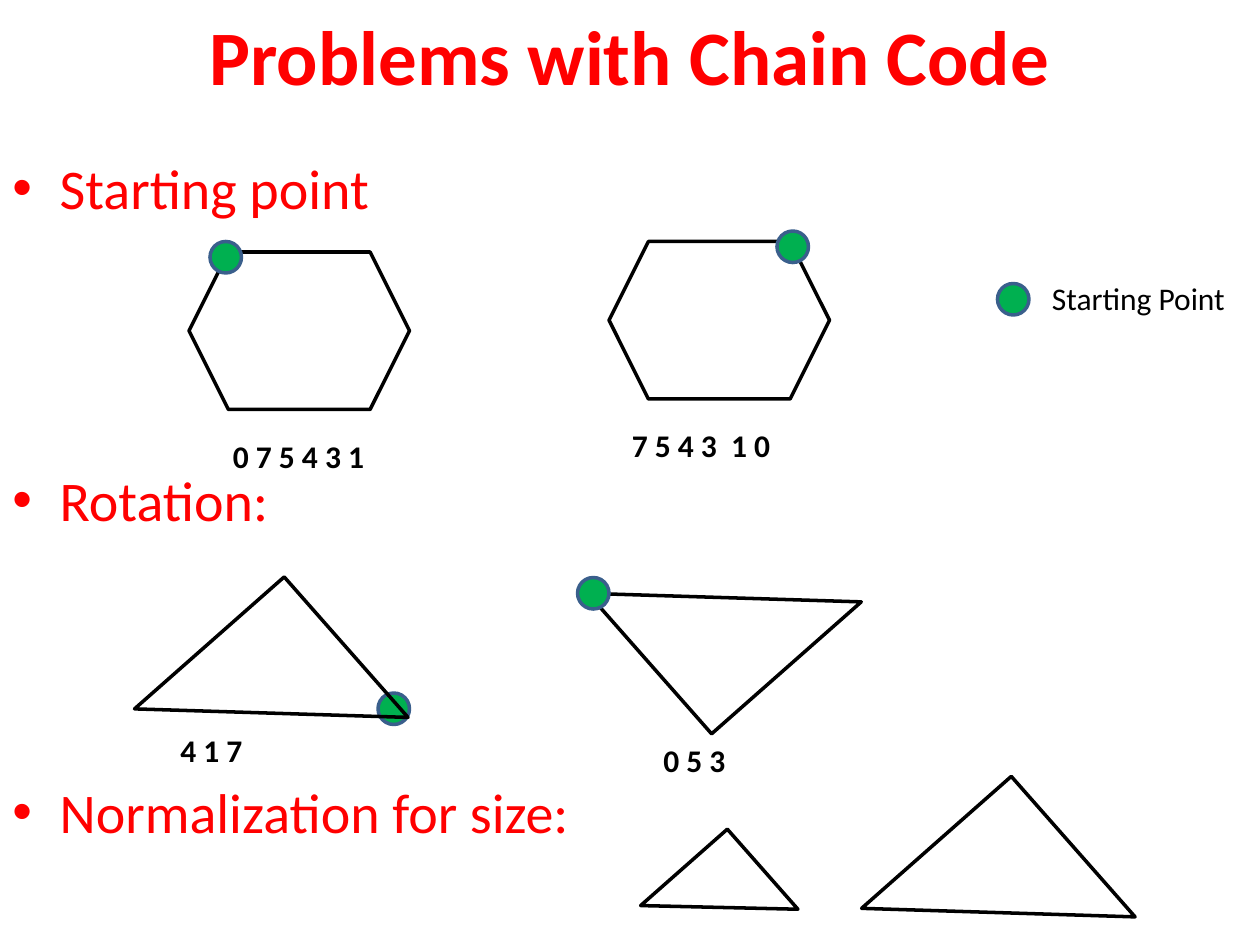
from lxml import etree
from pptx import Presentation
from pptx.dml.color import RGBColor
from pptx.enum.shapes import MSO_SHAPE
from pptx.enum.text import MSO_ANCHOR, PP_ALIGN
from pptx.oxml.ns import qn
from pptx.util import Pt

HEXAGON = MSO_SHAPE.HEXAGON
OVAL = MSO_SHAPE.OVAL
WEDGE = MSO_SHAPE.RIGHT_TRIANGLE
MIDDLE = MSO_ANCHOR.MIDDLE
CENTER = PP_ALIGN.CENTER

COLORS = {"head": "FF0000", "ink": "000000", "dot": "00B050", "rim": "3A5F8C"}
FONT = "Calibri"
HEAD = {"size": Pt(44), "bold": True}
ITEM = {"size": Pt(32), "bold": False}
CODE = {"size": Pt(18), "bold": True}
NOTE = {"size": Pt(18), "bold": False}

LINE = 2
DOT = 18
INDENT = 27
GAP = 140
TILT = 138.6


def color(name):
    return RGBColor.from_string(COLORS[name])


class Board:
    """Holds the current slide and draws each kind of element on it."""

    def __init__(self, slide):
        self.slide = slide

    def words(self, para, text, style, ink):
        run = para.add_run()
        run.text = text
        for name, value in {"name": FONT, **style}.items():
            setattr(run.font, name, value)
        run.font.color.rgb = color(ink)

    def title(self, text, left, top, width, height):
        shape = self.slide.shapes.title
        place = {"left": left, "top": top, "width": width, "height": height}
        for name, value in place.items():
            setattr(shape, name, Pt(value))
        frame = shape.text_frame
        frame.vertical_anchor = MIDDLE
        para = frame.paragraphs[0]
        para.alignment = CENTER
        self.words(para, text, HEAD, "head")

    def box(self, left, top, width, height):
        shape = self.slide.shapes.add_textbox(*map(Pt, (left, top, width, height)))
        shape.text_frame.word_wrap = True
        return shape.text_frame

    def label(self, text, left, top, width=108, style=CODE):
        frame = self.box(left, top, width, 30)
        self.words(frame.paragraphs[0], text, style, "ink")

    def bullets(self, items, left, top, width, height):
        frame = self.box(left, top, width, height)
        for i, text in enumerate(items):
            para = frame.add_paragraph() if i else frame.paragraphs[0]
            para.space_before = Pt(GAP if i else 0)
            props = para._p.get_or_add_pPr()
            props.set("marL", str(Pt(INDENT)))
            props.set("indent", str(-Pt(INDENT)))
            etree.SubElement(props, qn("a:buFont")).set("typeface", "Arial")
            etree.SubElement(props, qn("a:buChar")).set("char", "•")
            self.words(para, text, ITEM, "head")

    def shape(self, kind, left, top, width, height, turn=0, fill=None, line="ink"):
        shape = self.slide.shapes.add_shape(kind, *map(Pt, (left, top, width, height)))
        shape.shadow.inherit = False
        shape.rotation = turn
        if fill:
            shape.fill.solid()
            shape.fill.fore_color.rgb = color(fill)
        else:
            shape.fill.background()
        shape.line.color.rgb = color(line)
        shape.line.width = Pt(LINE)

    def hexagon(self, left, top):
        self.shape(HEXAGON, left, top, 126, 90)

    def dot(self, left, top):
        self.shape(OVAL, left, top, DOT, DOT, fill="dot", line="rim")

    def wedge(self, left, top, width=114, height=107, turn=TILT):
        self.shape(WEDGE, left, top, width, height, turn)


def main():
    deck = Presentation()
    deck.slide_width, deck.slide_height = Pt(720), Pt(540)
    board = Board(deck.slides.add_slide(deck.slide_layouts[5]))

    board.title("Problems with Chain Code", 36, 0, 648, 63)
    items = ["Starting point", "Rotation:", "Normalization for size:"]
    board.bullets(items, 0, 84, 672, 438)

    # Same hexagon, two starting points
    board.hexagon(108, 144)
    board.dot(120, 138)
    board.label("0 7 5 4 3 1", 126, 246)
    board.hexagon(348, 138)
    board.dot(444, 132)
    board.label("7 5 4 3  1 0", 354, 240)

    # Same triangle, turned half round
    board.dot(216, 396)
    board.wedge(98, 354)
    board.label("4 1 7", 96, 414)
    board.wedge(357, 288, turn=TILT + 180)
    board.dot(330, 330)
    board.label("0 5 3", 372, 420)

    # Legend
    board.dot(570, 162)
    board.label("Starting Point", 594, 156, 126, NOTE)

    # Same triangle, two sizes
    board.wedge(378, 488, 66, 61)
    board.wedge(513.5, 468)

    deck.save("out.pptx")


if __name__ == "__main__":
    main()
